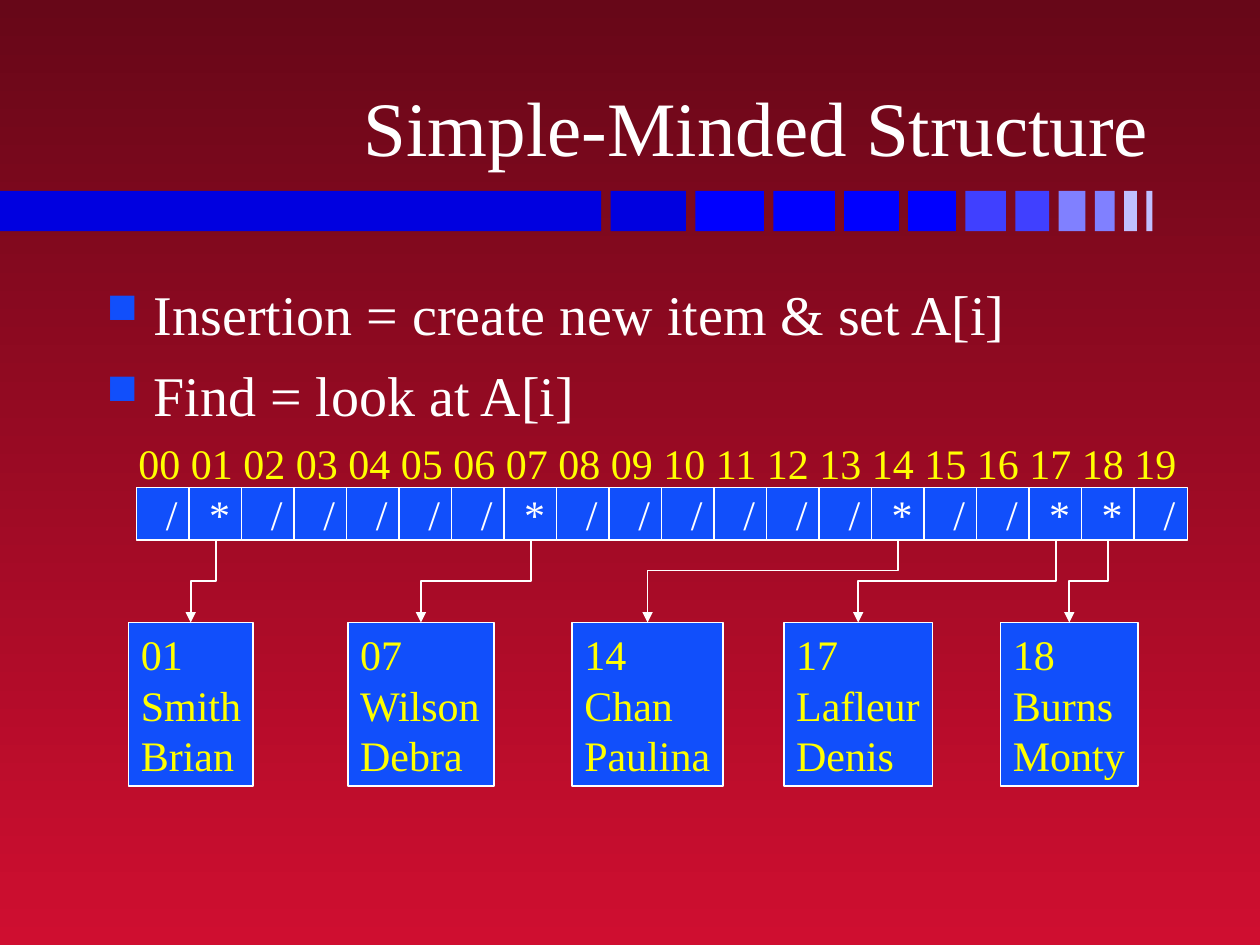
"""Build a slide on a directly indexed array that points to its records."""
from lxml.etree import SubElement
from pptx import Presentation
from pptx.dml.color import RGBColor
from pptx.enum.shapes import MSO_CONNECTOR as Link, MSO_SHAPE as Shape
from pptx.enum.text import MSO_ANCHOR as Anchor, PP_ALIGN as Align
from pptx.oxml.ns import qn
from pptx.util import Cm, Pt

COLORS = {
    "dark": "670718", "red": "CF0E30", "blue": "114FFB",
    "white": "FFFFFF", "yellow": "FFFF00",
}
BAR_COLORS = ["0000E0"] * 2 + ["0000FF"] * 4 + [
    "4040FF", "4040FF", "8080FF", "8080FF", "C0C0FF", "C0C0FF"]
SLOTS = 20
RECORDS = [
    (1, "Smith", "Brian", 2.59, 2.51),
    (7, "Wilson", "Debra", 7.01, 2.95),
    (14, "Chan", "Paulina", 11.53, 3.05),
    (17, "Lafleur", "Denis", 15.8, 3),
    (18, "Burns", "Monty", 20.17, 2.77),
]


def color(name):
    """Return the named colour as an RGB value."""
    return RGBColor.from_string(COLORS[name])


def write(box, text, size=24, ink="white", align=Align.LEFT, anchor=Anchor.TOP,
          wrap=False, gap=0, bullet=False):
    """Fill a box with one formatted paragraph for each line of text."""
    frame = box.text_frame
    frame.word_wrap = wrap
    frame.vertical_anchor = anchor
    for index, line in enumerate(text.split("\n")):
        para = frame.add_paragraph() if index else frame.paragraphs[0]
        para.alignment = align
        if index and gap:
            para.space_before = Pt(gap)
        if bullet:
            add_bullet(para)
        span = para.add_run()
        span.text = line
        span.font.name = "Times New Roman"
        span.font.size = Pt(size)
        span.font.color.rgb = color(ink)


def add_bullet(para):
    """Give a paragraph a hanging blue square."""
    props = para._p.get_or_add_pPr()
    props.set("marL", str(Cm(0.95)))
    props.set("indent", str(-Cm(0.95)))
    tint = SubElement(props, qn("a:buClr"))
    SubElement(tint, qn("a:srgbClr"), val=COLORS["blue"])
    SubElement(props, qn("a:buSzPct"), val="75000")
    SubElement(props, qn("a:buChar"), char="■")


def add_text(page, left, top, width, height, text, **style):
    """Add a text box with formatted text."""
    box = page.shapes.add_textbox(Cm(left), Cm(top), Cm(width), Cm(height))
    write(box, text, **style)


def add_block(page, left, top, width, height, fill):
    """Add a plain rectangle without outline or shadow."""
    block = page.shapes.add_shape(
        Shape.RECTANGLE, Cm(left), Cm(top), Cm(width), Cm(height))
    block.shadow.inherit = False
    block.fill.solid()
    block.fill.fore_color.rgb = RGBColor.from_string(fill)
    block.line.fill.background()
    return block


def add_cell(page, left, top, width, height, text, **style):
    """Add a blue rectangle with a white outline and text."""
    cell = add_block(page, left, top, width, height, COLORS["blue"])
    cell.line.color.rgb = color("white")
    cell.line.width = Pt(1)
    write(cell, text, anchor=Anchor.MIDDLE, **style)
    return cell


def add_arrow(page, slot, card, bend):
    """Link the bottom of a slot to the top of a card with an elbow arrow."""
    arrow = page.shapes.add_connector(Link.ELBOW, 0, 0, 0, 0)
    arrow.begin_connect(slot, 2)
    arrow.end_connect(card, 0)
    start, end = slot.left + slot.width // 2, card.left + card.width // 2
    top = slot.top + slot.height
    drop, shift = card.top - top, start - end
    props = arrow._element.spPr
    frame = props.find(qn("a:xfrm"))
    for flip in ("flipH", "flipV"):
        frame.attrib.pop(flip, None)
    frame.set("rot", "5400000")
    arrow.left = (start + end - drop) // 2
    arrow.top = top + (drop - shift) // 2
    arrow.width, arrow.height = drop, shift
    guides = props.find(qn("a:prstGeom")).find(qn("a:avLst"))
    SubElement(guides, qn("a:gd"), name="adj1", fmla=f"val {bend}")
    arrow.line.color.rgb = color("white")
    arrow.line.width = Pt(1)
    SubElement(arrow.line._get_or_add_ln(), qn("a:tailEnd"), type="triangle")
    SubElement(props, qn("a:effectLst"))


def add_background(page):
    """Shade the page from dark red down to bright red."""
    fill = page.background.fill
    fill.gradient()
    fill.gradient_angle = 270
    for stop, name in zip(fill.gradient_stops, ("dark", "red")):
        stop.color.rgb = color(name)


def add_stripe(page, left, top, height):
    """Add the row of bars that shrink towards the right."""
    widths = [12.12] + [1.52 - 0.14 * step for step in range(11)]
    for width, fill in zip(widths, BAR_COLORS):
        add_block(page, left, top, width, height, fill)
        left += width + 0.19


def add_array(page, left, top, width, height):
    """Add the numbered slots and return them in order."""
    used = {record[0] for record in RECORDS}
    pitch = width / SLOTS
    slots = [
        add_cell(page, left + index * pitch, top, pitch + 0.02, height,
                 "*" if index in used else "/", align=Align.RIGHT)
        for index in range(SLOTS)
    ]
    numbers = " ".join(f"{index:02}" for index in range(SLOTS))
    add_text(page, left - 0.21, top - 1.14, width + 0.29, 1.27, numbers,
             ink="yellow")
    return slots


def add_records(page, slots, top, height):
    """Add the record cards and the arrows that lead to them."""
    for key, family, given, left, width in RECORDS:
        card = add_cell(page, left, top, width, height,
                        f"{key:02}\n{family}\n{given}", ink="yellow")
        add_arrow(page, slots[key], card, 36800 if key == 14 else 50000)


def main():
    """Build the deck and save it."""
    deck = Presentation()
    deck.slide_width, deck.slide_height = Cm(25.4), Cm(19.05)
    page = deck.slides.add_slide(deck.slide_layouts[6])
    add_background(page)
    add_stripe(page, 0, 3.85, 0.81)
    add_text(page, 1.88, 0.48, 21.54, 3.12, "Simple-Minded Structure", size=44,
             align=Align.RIGHT, anchor=Anchor.BOTTOM, wrap=True)
    add_text(page, 1.9, 5.51, 21.59, 11.43,
             "Insertion = create new item & set A[i]\nFind = look at A[i]",
             size=32, wrap=True, gap=8, bullet=True)
    slots = add_array(page, 2.75, 9.83, 21.17, 1.06)
    add_records(page, slots, 12.55, 3.3)
    deck.save("out.pptx")


if __name__ == "__main__":
    main()
